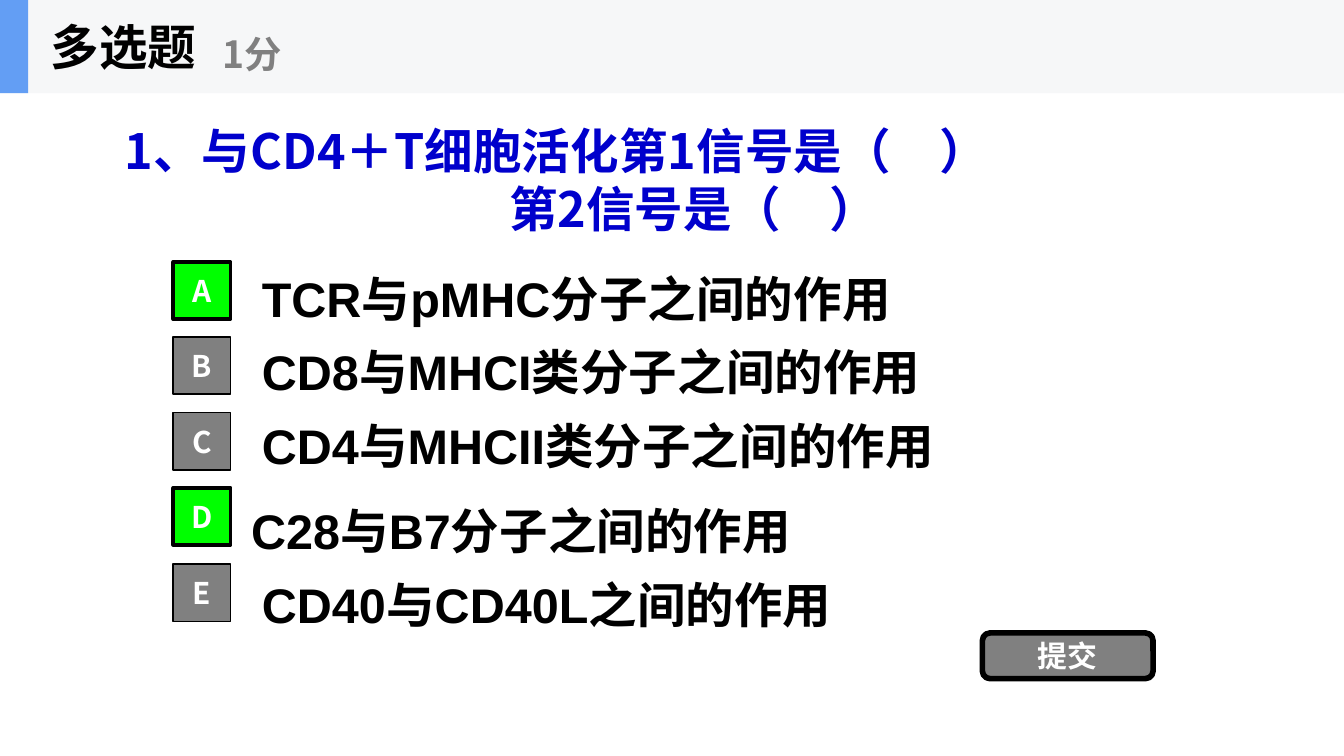
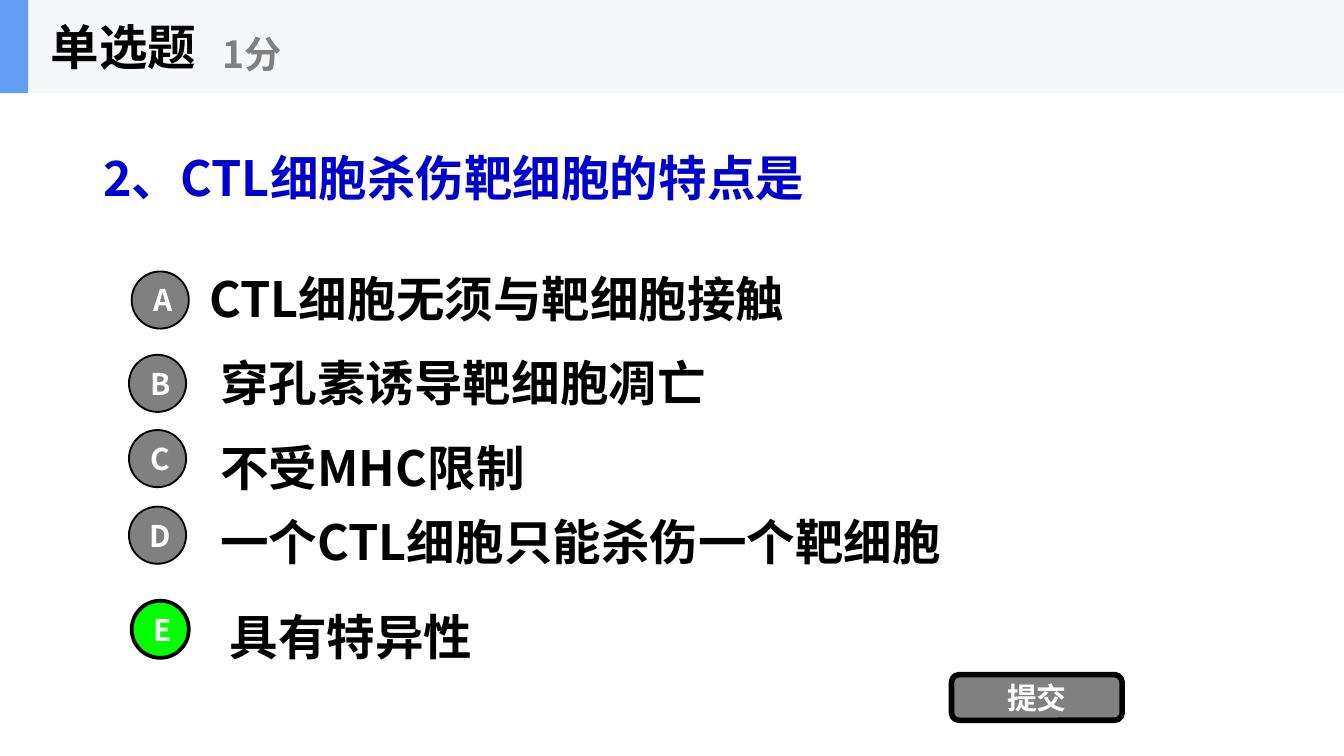
from pptx import Presentation
from pptx.dml.color import RGBColor
from pptx.enum.shapes import MSO_SHAPE
from pptx.enum.text import MSO_ANCHOR, PP_ALIGN
from pptx.oxml.ns import qn
from pptx.util import Inches, Pt

BLACK = RGBColor(0x00, 0x00, 0x00)
WHITE = RGBColor(0xFF, 0xFF, 0xFF)
GRAY = RGBColor(0x80, 0x80, 0x80)
GREEN = RGBColor(0x00, 0xFF, 0x00)
BLUE = RGBColor(0x00, 0x00, 0xCC)
BAND = RGBColor(0xF6, 0xF7, 0xF8)
ACCENT = RGBColor(0x63, 0x9E, 0xF4)
CJK = "Noto Sans CJK SC"

prs = Presentation()
prs.slide_width = Inches(10)
prs.slide_height = prs.slide_width * 9 // 16
U = prs.slide_width / 100  # square grid, 100 columns across
MARK, BAND_H = 4.25, 6.93


def add_text(s, box, lines, size, color, font=CJK):
    """Text box at grid units; lines are (text, left indent) pairs."""
    tf = s.shapes.add_textbox(*[round(v * U) for v in box]).text_frame
    tf.word_wrap = True
    write(tf, lines, size, color, font)


def write(tf, lines, size, color, font=CJK):
    tf.vertical_anchor = MSO_ANCHOR.MIDDLE
    for i, (text, indent) in enumerate(lines):
        p = tf.add_paragraph() if i else tf.paragraphs[0]
        if indent:
            p._p.get_or_add_pPr().set("marL", str(round(indent * U)))
        r = p.add_run()
        r.text = text
        r.font.size, r.font.bold, r.font.name = Pt(size), True, font
        r.font.color.rgb = color
        ea = r.font._element.makeelement(qn("a:ea"), {"typeface": CJK})
        r.font._element.find(qn("a:latin")).addnext(ea)


# Options: letter, marker left and top, text left and top, text
quizzes = [
    dict(kind="多选题", marker=MSO_SHAPE.RECTANGLE, font="Arial", correct="AD",
         question=[("1、与CD4＋T细胞活化第1信号是（　）", 0), ("第2信号是（　）", 28.6)],
         question_at=(8.3, 4.5), submit_at=(73.1, 47.1), letter_inset=0,
         options=[("A", 12.9, 19.5, 18.5, 19.5, "TCR与pMHC分子之间的作用"),
                  ("B", 12.9, 25.1, 18.5, 25, "CD8与MHCI类分子之间的作用"),
                  ("C", 12.9, 30.7, 18.5, 30.5, "CD4与MHCII类分子之间的作用"),
                  ("D", 12.9, 36.3, 17.7, 36.8, "C28与B7分子之间的作用"),
                  ("E", 12.9, 42, 18.5, 42.3, "CD40与CD40L之间的作用")]),
    dict(kind="单选题", marker=MSO_SHAPE.OVAL, font=CJK, correct="E",
         question=[("2、CTL细胞杀伤靶细胞的特点是", 0)],
         question_at=(6.7, 4.4), submit_at=(70.8, 50.2), letter_inset=0.4,
         options=[("A", 9.8, 20.2, 14.6, 19.5, "CTL细胞无须与靶细胞接触"),
                  ("B", 9.6, 26.4, 15.4, 25.8, "穿孔素诱导靶细胞凋亡"),
                  ("C", 9.6, 32, 15.4, 32.1, "不受MHC限制"),
                  ("D", 9.6, 37.7, 15.4, 37.6, "一个CTL细胞只能杀伤一个靶细胞"),
                  ("E", 9.8, 44.7, 16.1, 44.7, "具有特异性")]),
]

for quiz in quizzes:
    s = prs.slides.add_slide(prs.slide_layouts[6])

    # Question and option texts
    add_text(s, (*quiz["question_at"], 80, 17.6), quiz["question"], 26, BLUE)
    for _, _, _, x, y, text in quiz["options"]:
        add_text(s, (x, y, 70, 5.3), [(text, 0)], 26, BLACK, quiz["font"])

    # Header band, option markers and submit button
    shapes = [(MSO_SHAPE.RECTANGLE, (0, 0, 100, BAND_H), BAND, 0, "", 0),
              (MSO_SHAPE.RECTANGLE, (0, 0, 2.1, BAND_H), ACCENT, 0, "", 0)]
    for letter, x, y, *_ in quiz["options"]:
        right = letter in quiz["correct"]
        shapes.append((quiz["marker"], (x, y, MARK, MARK), GREEN if right else GRAY,
                       2 if right else 1, letter, quiz["letter_inset"]))
    shapes.append((MSO_SHAPE.ROUNDED_RECTANGLE, (*quiz["submit_at"], 12.7, 3.4),
                   GRAY, 3, "提交", 0))
    for preset, box, fill, line, label, inset in shapes:
        sp = s.shapes.add_shape(preset, *[round(v * U) for v in box])
        sp.shadow.inherit = False
        sp.fill.solid()
        sp.fill.fore_color.rgb = fill
        if line:
            sp.line.color.rgb, sp.line.width = BLACK, Pt(line)
        else:
            sp.line.fill.background()
        if label:
            tf = sp.text_frame
            tf.margin_right = tf.margin_top = tf.margin_bottom = 0
            tf.margin_left = round(inset * U)
            write(tf, [(label, 0)], 16, WHITE)
            tf.paragraphs[0].alignment = PP_ALIGN.CENTER

    # Header texts
    add_text(s, (2.8, 0, 20.8, BAND_H), [(quiz["kind"], 0)], 26, BLACK)
    add_text(s, (15.6, 1.2, 25, 5.6), [("1分", 0)], 20, GRAY)

prs.save("out.pptx")
